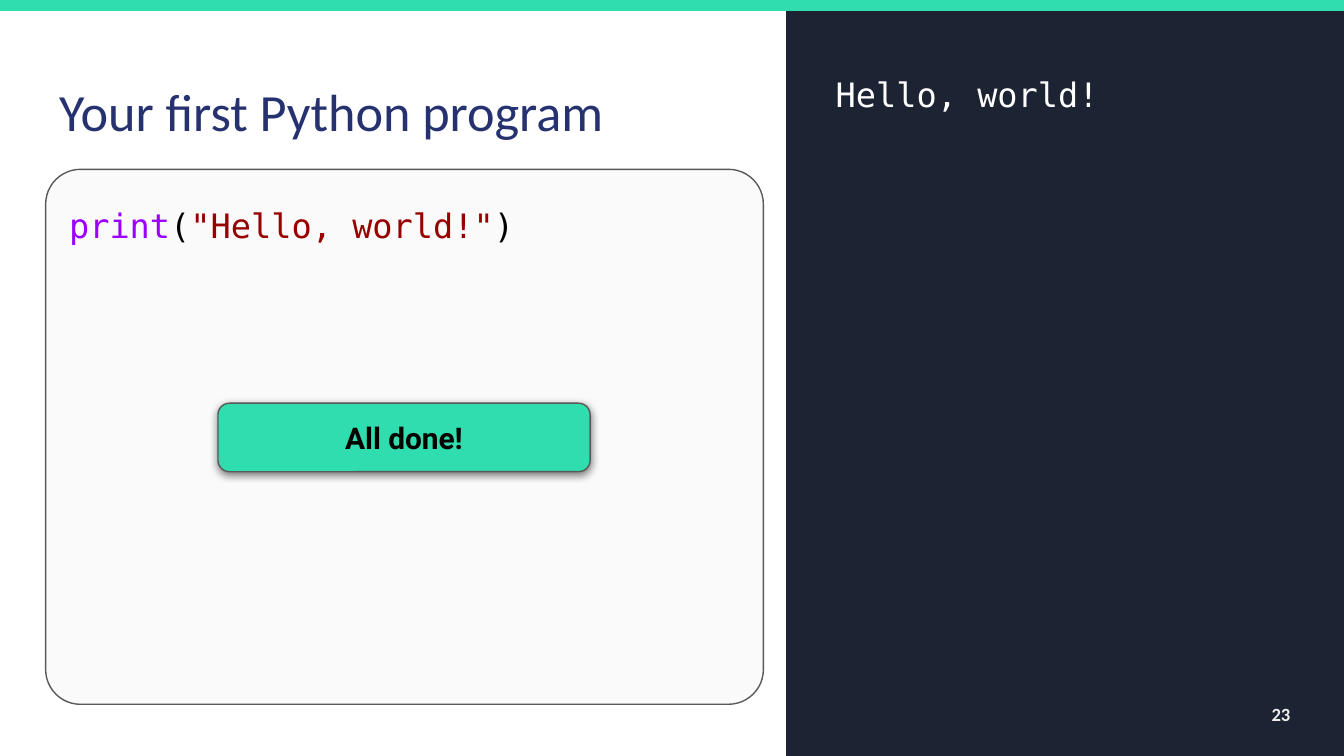
from typing import NamedTuple, Optional

from lxml.etree import SubElement
from pptx import Presentation
from pptx.dml.color import RGBColor
from pptx.enum.shapes import MSO_SHAPE as Shape
from pptx.enum.text import MSO_ANCHOR as Anchor, MSO_AUTO_SIZE as AutoSize, PP_ALIGN as Align
from pptx.oxml.ns import qn
from pptx.util import Pt

COLORS = {
    "mint": "30DDAE",
    "navy": "1C2333",
    "title": "25326F",
    "editor": "FAFAFA",
    "border": "595959",
    "function": "9900FF",
    "string": "980000",
    "black": "000000",
    "white": "FFFFFF",
    "number": "EEEEEE",
}
MONO = "DejaVu Sans Mono"


class Box(NamedTuple):
    left: float
    top: float
    width: float
    height: float


class Panel(NamedTuple):
    box: Box
    fill: str
    line: Optional[str] = None
    corner: Optional[float] = None


# Positions in points
EDITOR = Panel(Box(24.5, 90.7, 384.5, 286.6), "editor", "border", 0.065)
CONSOLE = Panel(Box(421.2, 0, 299.5, 406), "navy")
TOP_BAR = Panel(Box(-0.7, 0, 721.4, 5.8), "mint")
BADGE = Panel(Box(116.8, 216, 199.4, 36.7), "mint", "border", 0.167)
TITLE = Box(24.5, 35.3, 384.5, 45.4)
OUTPUT = Box(440.6, 32.4, 257.8, 286.6)
NUMBER = Box(655.2, 367.2, 43.2, 31)


def color(name: str) -> RGBColor:
    return RGBColor.from_string(COLORS[name])


def place(box: Box) -> list:
    return [Pt(length) for length in box]


def draw_panel(slide, panel: Panel):
    kind = Shape.RECTANGLE if panel.corner is None else Shape.ROUNDED_RECTANGLE
    shape = slide.shapes.add_shape(kind, *place(panel.box))
    shape.shadow.inherit = False
    if panel.corner is not None:
        shape.adjustments[0] = panel.corner
    shape.fill.solid()
    shape.fill.fore_color.rgb = color(panel.fill)
    if panel.line:
        shape.line.color.rgb = color(panel.line)
        shape.line.width = Pt(0.75)
    else:
        shape.line.fill.background()
    return shape


def add_shadow(shape, blur: float, distance: float) -> None:
    """Cast a half-transparent black shadow straight down."""
    effects = shape._element.spPr.find(qn("a:effectLst"))
    shadow = SubElement(effects, qn("a:outerShdw"), blurRad=str(Pt(blur)),
                        dist=str(Pt(distance)), dir="5400000",
                        algn="bl", rotWithShape="0")
    shade = SubElement(shadow, qn("a:srgbClr"), val=COLORS["black"])
    SubElement(shade, qn("a:alpha"), val="50000")


def write(shape, *pieces: tuple[str, str], font: str, size: float, bold: bool = False,
          align=Align.LEFT, anchor=Anchor.TOP, spacing: float = 1.0) -> None:
    """Fill a shape with one paragraph of (text, colour name) pieces."""
    frame = shape.text_frame
    frame.word_wrap = True
    frame.auto_size = AutoSize.NONE
    frame.vertical_anchor = anchor
    frame.margin_left = frame.margin_right = Pt(7.2)
    frame.margin_top = frame.margin_bottom = Pt(7.2)
    paragraph = frame.paragraphs[0]
    paragraph.alignment = align
    paragraph.line_spacing = spacing
    paragraph.space_before = Pt(0)
    for text, color_name in pieces:
        run = paragraph.add_run()
        run.text = text
        run.font.name = font
        run.font.size = Pt(size)
        run.font.bold = bold
        run.font.color.rgb = color(color_name)


def main() -> None:
    presentation = Presentation()
    presentation.slide_width, presentation.slide_height = Pt(720), Pt(405)
    slide = presentation.slides.add_slide(presentation.slide_layouts[5])

    # Title
    title = slide.shapes.title
    title.left, title.top, title.width, title.height = place(TITLE)
    write(title, ("Your first Python program", "title"), font="Calibri", size=28)

    # Code editor
    editor = draw_panel(slide, EDITOR)
    write(editor, ("print", "function"), ("(", "black"),
          ('"Hello, world!"', "string"), (")", "black"),
          font=MONO, size=18, spacing=1.3)

    # Console and top bar
    draw_panel(slide, CONSOLE)
    draw_panel(slide, TOP_BAR)
    output = slide.shapes.add_textbox(*place(OUTPUT))
    write(output, ("Hello, world!", "white"), font=MONO, size=18)

    # Slide number
    number = slide.shapes.add_textbox(*place(NUMBER))
    write(number, ("23", "number"), font="Calibri", size=10, bold=True,
          align=Align.RIGHT, anchor=Anchor.MIDDLE)

    # Closing badge
    badge = draw_panel(slide, BADGE)
    add_shadow(badge, blur=4.5, distance=1.5)
    write(badge, ("All done!", "black"), font="Roboto", size=16, bold=True,
          align=Align.CENTER, anchor=Anchor.MIDDLE)

    presentation.save("out.pptx")


if __name__ == "__main__":
    main()
